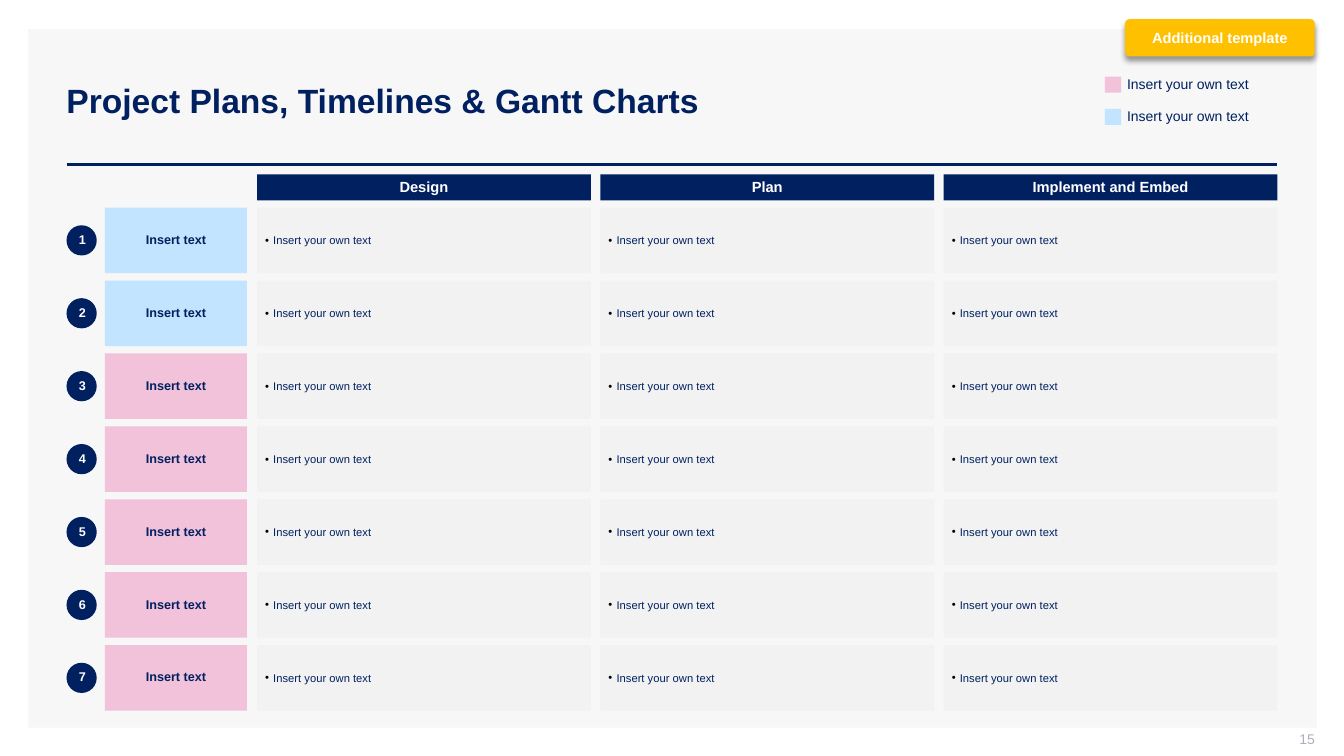
from lxml.etree import SubElement
from pptx import Presentation
from pptx.dml.color import RGBColor
from pptx.enum.shapes import MSO_CONNECTOR as Connector, MSO_SHAPE as Preset
from pptx.enum.text import MSO_ANCHOR as Anchor, PP_ALIGN as Align
from pptx.oxml.ns import qn
from pptx.util import Inches, Pt

COLORS = {
    "navy": "002060", "panel": "F7F7F7", "cell": "F2F2F2", "blue": "C2E4FF",
    "pink": "F1C2D9", "amber": "FFC000", "white": "FFFFFF", "grey": "ADAFBB",
    "black": "000000",
}
PHASES = ["Design", "Plan", "Implement and Embed"]
ROW_COLORS = ["blue"] * 2 + ["pink"] * 5
OWN_TEXT = "Insert your own text"


def rgb(name):
    return RGBColor.from_string(COLORS[name])


def write(holder, text, size, color="navy", bold=False, align=Align.LEFT,
          insets=(0.1, 0.05, 0.1, 0.05), bullet=False, spacing=None):
    frame = holder.text_frame
    frame.word_wrap = True
    frame.vertical_anchor = Anchor.MIDDLE
    frame.margin_left, frame.margin_top, frame.margin_right, frame.margin_bottom = map(Inches, insets)
    frame.text = text
    paragraph = frame.paragraphs[0]
    paragraph.alignment = align
    if spacing:
        paragraph.line_spacing = spacing
    if bullet:
        add_bullet(paragraph)
    font = paragraph.runs[0].font
    font.name, font.size, font.bold = "Arial", Pt(size), bold
    font.color.rgb = rgb(color)


def add_bullet(paragraph):
    properties = paragraph._p.get_or_add_pPr()
    properties.set("marL", str(Inches(0.08)))
    properties.set("indent", str(Inches(-0.08)))
    tint = SubElement(properties, qn("a:buClr"))
    SubElement(tint, qn("a:srgbClr"), val=COLORS["black"])
    SubElement(properties, qn("a:buFont"), typeface="Arial")
    SubElement(properties, qn("a:buChar"), char="•")


def add_block(slide, box, fill, preset=Preset.RECTANGLE):
    block = slide.shapes.add_shape(preset, *map(Inches, box))
    block.shadow.inherit = False
    block.fill.solid()
    block.fill.fore_color.rgb = rgb(fill)
    block.line.fill.background()
    return block


def add_label(slide, box, text, size, **style):
    write(slide.shapes.add_textbox(*map(Inches, box)), text, size, **style)


def add_heading(slide, box):
    left, top, width, height = box
    rule_y = Inches(top + height + 0.04)
    rule = slide.shapes.add_connector(
        Connector.STRAIGHT, Inches(left + 0.1), rule_y, Inches(left + width), rule_y)
    rule.line.color.rgb = rgb("navy")
    rule.line.width = Pt(2)
    SubElement(rule._element.spPr, qn("a:effectLst"))
    add_label(slide, box, "Project Plans, Timelines & Gantt Charts", 24, bold=True)


def add_legend(slide, box):
    left, top, width, height = box
    entry_height = 0.27
    for index, color in enumerate(["pink", "blue"]):
        entry_top = top + index * (height - entry_height)
        add_block(slide, (left, entry_top + 0.06, 0.16, 0.16), color)
        add_label(slide, (left + 0.12, entry_top, width - 0.12, entry_height), OWN_TEXT, 10)


def add_plan(slide, box):
    left, top, width, height = box
    phase_width, row_height, badge = 3.31, 0.65, 0.3
    phases_left = left + 1.89
    phase_pitch = (left + width - phase_width - phases_left) / (len(PHASES) - 1)
    rows_top = top + 0.33
    row_pitch = (top + height - row_height - rows_top) / (len(ROW_COLORS) - 1)
    cell_insets = (0.08,) * 4
    centred = dict(bold=True, align=Align.CENTER, insets=cell_insets, spacing=0.9)
    phase_lefts = [phases_left + index * phase_pitch for index in range(len(PHASES))]

    for phase, phase_left in zip(PHASES, phase_lefts):
        header = add_block(slide, (phase_left, top, phase_width, 0.26), "navy")
        write(header, phase, 10.5, color="white", **centred)

    for index, color in enumerate(ROW_COLORS):
        row_top = rows_top + index * row_pitch
        badge_top = row_top + (row_height - badge) / 2
        number = add_block(slide, (left, badge_top, badge, badge), "navy", Preset.OVAL)
        write(number, str(index + 1), 9, color="white", **centred)
        activity = add_block(slide, (left + 0.38, row_top, 1.41, row_height), color)
        write(activity, "Insert text", 9, **centred)
        for phase_left in phase_lefts:
            detail = add_block(slide, (phase_left, row_top, phase_width, row_height), "cell")
            write(detail, OWN_TEXT, 8, insets=cell_insets, bullet=True)


def add_template_tag(slide, box):
    tag = add_block(slide, box, "amber", Preset.ROUNDED_RECTANGLE)
    tag.adjustments[0] = 0.12
    effects = tag._element.spPr.find(qn("a:effectLst"))
    shadow = SubElement(effects, qn("a:outerShdw"), blurRad=str(Pt(4)), dist=str(Pt(3)),
                        dir="5400000", algn="t", rotWithShape="0")
    tint = SubElement(shadow, qn("a:srgbClr"), val=COLORS["black"])
    SubElement(tint, qn("a:alpha"), val="40000")
    write(tag, "Additional template", 10.5, color="white", bold=True, align=Align.CENTER)


def main():
    deck = Presentation()
    deck.slide_width, deck.slide_height = Inches(13.33), Inches(7.5)
    slide = deck.slides.add_slide(deck.slide_layouts[6])
    add_block(slide, (0.28, 0.29, 12.78, 6.93), "panel")
    add_heading(slide, (0.56, 0.4, 12.11, 1.19))
    add_label(slide, (10.04, 7.25, 3, 0.21), "15", 10, color="grey",
              align=Align.RIGHT, insets=(0.1, 0, 0, 0.05))
    add_legend(slide, (10.96, 0.7, 1.7, 0.59))
    add_plan(slide, (0.66, 1.73, 12.01, 5.32))
    add_template_tag(slide, (11.16, 0.19, 1.88, 0.37))
    deck.save("out.pptx")


if __name__ == "__main__":
    main()
